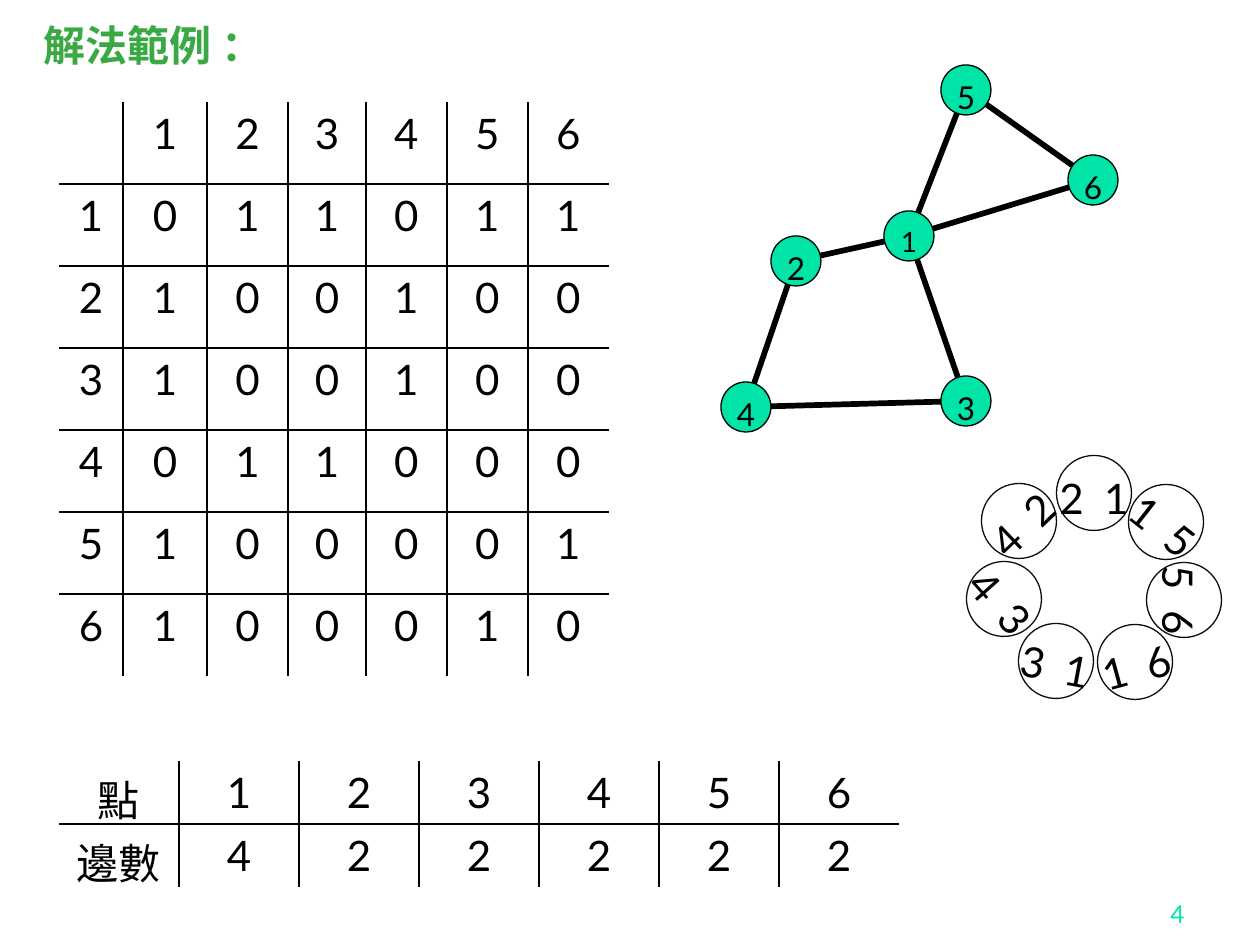
from dataclasses import dataclass

from lxml.etree import SubElement
from pptx import Presentation
from pptx.dml.color import RGBColor
from pptx.enum.shapes import MSO_CONNECTOR as Link, MSO_SHAPE as Preset
from pptx.enum.text import MSO_ANCHOR as Anchor, MSO_AUTO_SIZE as AutoSize, PP_ALIGN as Align
from pptx.oxml.ns import qn
from pptx.util import Emu, Pt

EMU_PER_PX = 914400 / 126


@dataclass(frozen=True)
class Theme:
    ink: str = "000000"
    paper: str = "FFFFFF"
    heading: str = "3BA943"
    accent: str = "00E4A8"
    outline: str = "0D0D0D"
    latin: str = "Lato"
    heading_font: str = "Times New Roman"
    large: int = 24
    label: int = 18
    small_label: int = 16
    page: int = 14
    thin: float = 0.75
    rule: float = 1
    edge: float = 3.25
    gap_spacing: int = 540


@dataclass(frozen=True)
class Vertex:
    x: int
    y: int
    size: int = 18


@dataclass(frozen=True)
class Bead:
    ends: str
    x: int
    y: int
    turn: float


@dataclass(frozen=True)
class Grid:
    left: int
    top: int
    columns: tuple[int, ...]
    row_height: int
    rows: tuple[tuple[str, ...], ...]


THEME = Theme()
VERTEX_SIZE = 50
BEAD_SIZE = 75

VERTICES = {
    "6": Vertex(1093, 180),
    "1": Vertex(909, 236, THEME.small_label),
    "2": Vertex(796, 261),
    "3": Vertex(966, 401),
    "4": Vertex(746, 407),
    "5": Vertex(966, 90),
}
EDGES = ("65", "15", "16", "21", "31", "42", "43")

BEADS = (
    Bead("21", 1094, 493, 0),
    Bead("56", 1184, 600, 90),
    Bead("31", 1056, 661, 10.5),
    Bead("16", 1135, 662, 344.7),
    Bead("15", 1166, 522, 38),
    Bead("43", 1004, 599, 48.3),
    Bead("42", 1019, 521, 316.3),
)

ADJACENCY = Grid(59, 102, (64, 84, 81, 78, 81, 81, 81), 82, (
    ("", *"123456"),
    tuple("1011011"),
    tuple("2100100"),
    tuple("3100100"),
    tuple("4011000"),
    tuple("5100001"),
    tuple("6100010"),
))
DEGREES = Grid(59, 761, (120,) * 7, 51, (
    ("點", *"123456"),
    ("邊數", *"422222"),
))


def px(length: float) -> Emu:
    return Emu(round(length * EMU_PER_PX))


def rgb(color: str) -> RGBColor:
    return RGBColor.from_string(color)


def add_run(paragraph, text: str, size: int, color: str = THEME.ink,
            font: str = THEME.latin, bold: bool = False):
    run = paragraph.add_run()
    run.text = text
    run.font.size = Pt(size)
    run.font.name = font
    run.font.bold = bold
    run.font.color.rgb = rgb(color)
    return run


def draw_title(slide) -> None:
    title = slide.shapes.title
    title.left, title.top, title.width, title.height = map(px, (31, 19, 277, 242))
    frame = title.text_frame
    frame.auto_size = AutoSize.NONE
    frame.vertical_anchor = Anchor.TOP
    heading = frame.paragraphs[0]
    heading.alignment = Align.LEFT
    heading.line_spacing = 0.9
    heading.space_before = Pt(0)
    add_run(heading, "解法範例 ：", THEME.large, THEME.heading, THEME.heading_font, True)


def draw_page_number(slide) -> None:
    frame = slide.shapes.add_textbox(*map(px, (935, 872, 262, 63))).text_frame
    frame.word_wrap = True
    frame.vertical_anchor = Anchor.BOTTOM
    number = frame.paragraphs[0]
    number.alignment = Align.RIGHT
    add_run(number, "4", THEME.page, THEME.accent)


def set_borders(cell, visible: dict[str, bool]) -> None:
    properties = cell._tc.get_or_add_tcPr()
    for side, shown in visible.items():
        border = SubElement(properties, qn(f"a:ln{side}"), w=str(Pt(THEME.rule)))
        if shown:
            fill = SubElement(border, qn("a:solidFill"))
            SubElement(fill, qn("a:srgbClr"), val=THEME.ink)
        else:
            SubElement(border, qn("a:noFill"))


def draw_grid(slide, grid: Grid) -> None:
    row_count, column_count = len(grid.rows), len(grid.columns)
    table = slide.shapes.add_table(
        row_count, column_count, px(grid.left), px(grid.top),
        px(sum(grid.columns)), px(grid.row_height * row_count)).table
    table.first_row = table.horz_banding = False
    for column, width in zip(table.columns, grid.columns):
        column.width = px(width)
    for r, values in enumerate(grid.rows):
        table.rows[r].height = px(grid.row_height)
        for c, value in enumerate(values):
            cell = table.cell(r, c)
            set_borders(cell, {"L": c > 0, "R": c < column_count - 1,
                               "T": r > 0, "B": r < row_count - 1})
            cell.fill.solid()
            cell.fill.fore_color.rgb = rgb(THEME.paper)
            if value:
                entry = cell.text_frame.paragraphs[0]
                entry.alignment = Align.CENTER
                add_run(entry, value, THEME.large)


def draw_edge(slide, start: Vertex, end: Vertex) -> None:
    edge = slide.shapes.add_connector(
        Link.STRAIGHT, px(start.x), px(start.y), px(end.x), px(end.y))
    edge.line.color.rgb = rgb(THEME.ink)
    edge.line.width = Pt(THEME.edge)
    SubElement(edge._element.spPr, qn("a:effectLst"))


def draw_circle(shapes, x: int, y: int, size: int, fill: str, outline: str, turn: float = 0):
    circle = shapes.add_shape(
        Preset.OVAL, px(x - size / 2), px(y - size / 2), px(size), px(size))
    circle.rotation = turn
    circle.shadow.inherit = False
    circle.fill.solid()
    circle.fill.fore_color.rgb = rgb(fill)
    circle.line.color.rgb = rgb(outline)
    circle.line.width = Pt(THEME.thin)
    frame = circle.text_frame
    frame.word_wrap = False
    frame.vertical_anchor = Anchor.TOP
    label = frame.paragraphs[0]
    label.alignment = Align.CENTER
    return label


def draw_graph(slide) -> None:
    for start, end in EDGES:
        draw_edge(slide, VERTICES[start], VERTICES[end])
    for name, vertex in VERTICES.items():
        label = draw_circle(slide.shapes, vertex.x, vertex.y, VERTEX_SIZE,
                            THEME.accent, THEME.ink)
        add_run(label, name, vertex.size)


def draw_necklace(slide) -> None:
    necklace = slide.shapes.add_group_shape()
    for bead in BEADS:
        label = draw_circle(necklace.shapes, bead.x, bead.y, BEAD_SIZE,
                            THEME.paper, THEME.outline, bead.turn)
        first, second = bead.ends
        add_run(label, first, THEME.large)
        gap = add_run(label, " ", THEME.large)
        gap.font._element.set("spc", str(THEME.gap_spacing))
        add_run(label, second, THEME.large)


def main() -> None:
    deck = Presentation()
    deck.slide_width, deck.slide_height = px(1260), px(945)
    slide = deck.slides.add_slide(deck.slide_layouts[5])
    draw_page_number(slide)
    draw_title(slide)
    draw_grid(slide, ADJACENCY)
    draw_graph(slide)
    draw_grid(slide, DEGREES)
    draw_necklace(slide)
    deck.save("out.pptx")


if __name__ == "__main__":
    main()
